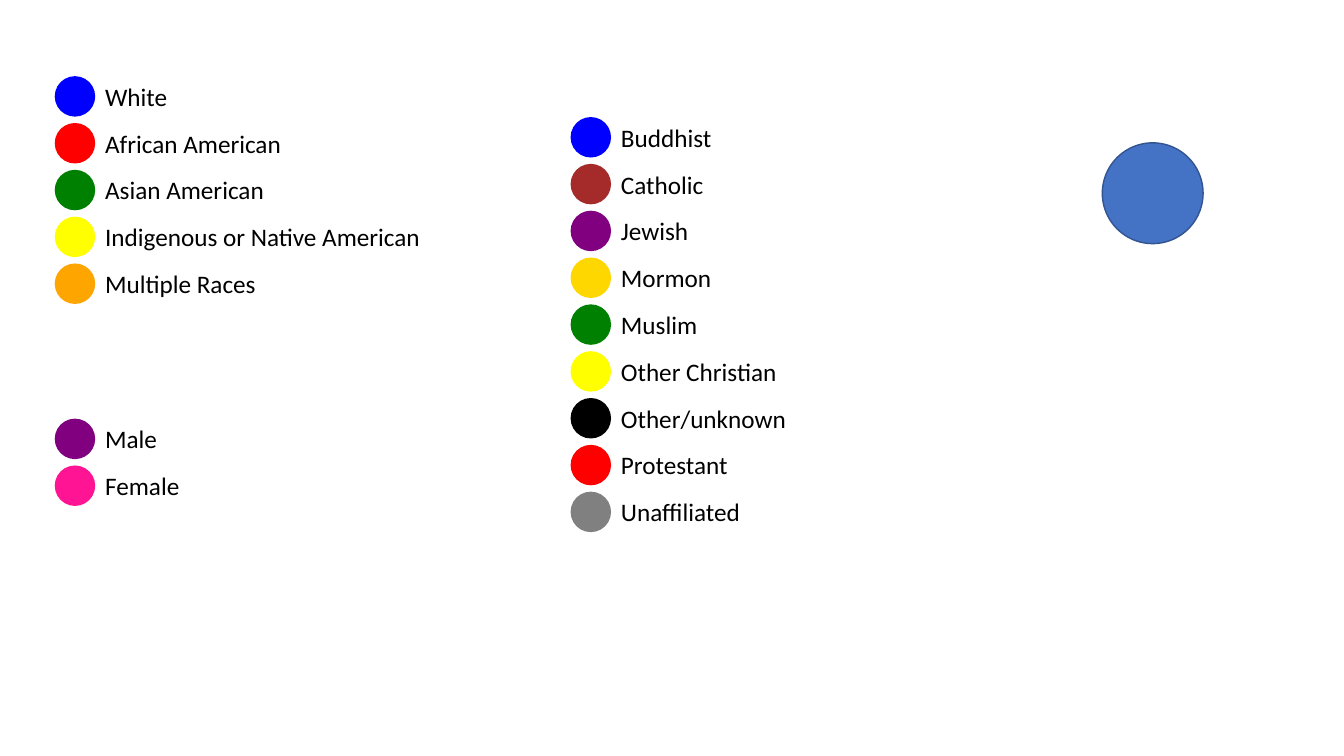
"""Build a slide of colour legends for race, religion and gender."""
import pptx
import pptx.util
import pptx.dml.color
import pptx.enum.shapes
import pptx.enum.text

Cm = pptx.util.Cm
Pt = pptx.util.Pt
RGB = pptx.dml.color.RGBColor.from_string
OVAL = pptx.enum.shapes.MSO_SHAPE.OVAL

theme = {
    "font": "Calibri", "size": Pt(18), "text": "000000",
    "disc": "4472C4", "edge": "325491",
    "blue": "0000FF", "red": "FF0000", "green": "008000",
    "yellow": "FFFF00", "orange": "FFA500", "brown": "A52A2A",
    "purple": "800080", "gold": "FFD700", "black": "000000",
    "gray": "808080", "pink": "FF1493",
}

races = [
    ("White", "blue"), ("African American", "red"),
    ("Asian American", "green"),
    ("Indigenous or Native American", "yellow"),
    ("Multiple Races", "orange"),
]
faiths = [
    ("Buddhist", "blue"), ("Catholic", "brown"), ("Jewish", "purple"),
    ("Mormon", "gold"), ("Muslim", "green"), ("Other Christian", "yellow"),
    ("Other/unknown", "black"), ("Protestant", "red"),
    ("Unaffiliated", "gray"),
]
genders = [("Male", "purple"), ("Female", "pink")]

legends = [
    (races, Cm(1.38), Cm(1.92), Cm(8.89)),
    (faiths, Cm(14.38), Cm(2.95), Cm(5)),
    (genders, Cm(1.38), Cm(10.55), Cm(2.59)),
]
dot = Cm(1.02)
pitch = Cm(1.18)


def draw_dot(shapes, left, top, size, fill):
    """Add a filled circle without shadow or outline."""
    oval = shapes.add_shape(OVAL, left, top, size, size)
    oval.shadow.inherit = False
    oval.fill.solid()
    oval.fill.fore_color.rgb = RGB(theme[fill])
    oval.line.fill.background()
    return oval


deck = pptx.Presentation()
deck.slide_width = Cm(33.87)
deck.slide_height = Cm(19.05)
slide = deck.slides.add_slide(deck.slide_layouts[6])

disc = draw_dot(slide.shapes, Cm(27.78), Cm(3.6), Cm(2.54), "disc")
disc.line.color.rgb = RGB(theme["edge"])
disc.line.width = Pt(1)

for items, left, start, width in legends:
    group = slide.shapes.add_group_shape()
    for row, (name, color) in enumerate(items):
        top = start + row * pitch
        draw_dot(group.shapes, left, top, dot, color)
        label = group.shapes.add_textbox(left + dot, top, width, dot)
        frame = label.text_frame
        frame.word_wrap = True
        frame.auto_size = pptx.enum.text.MSO_AUTO_SIZE.SHAPE_TO_FIT_TEXT
        line = frame.paragraphs[0]
        line.text = name
        line.font.name = theme["font"]
        line.font.size = theme["size"]
        line.font.color.rgb = RGB(theme["text"])

deck.save("out.pptx")
